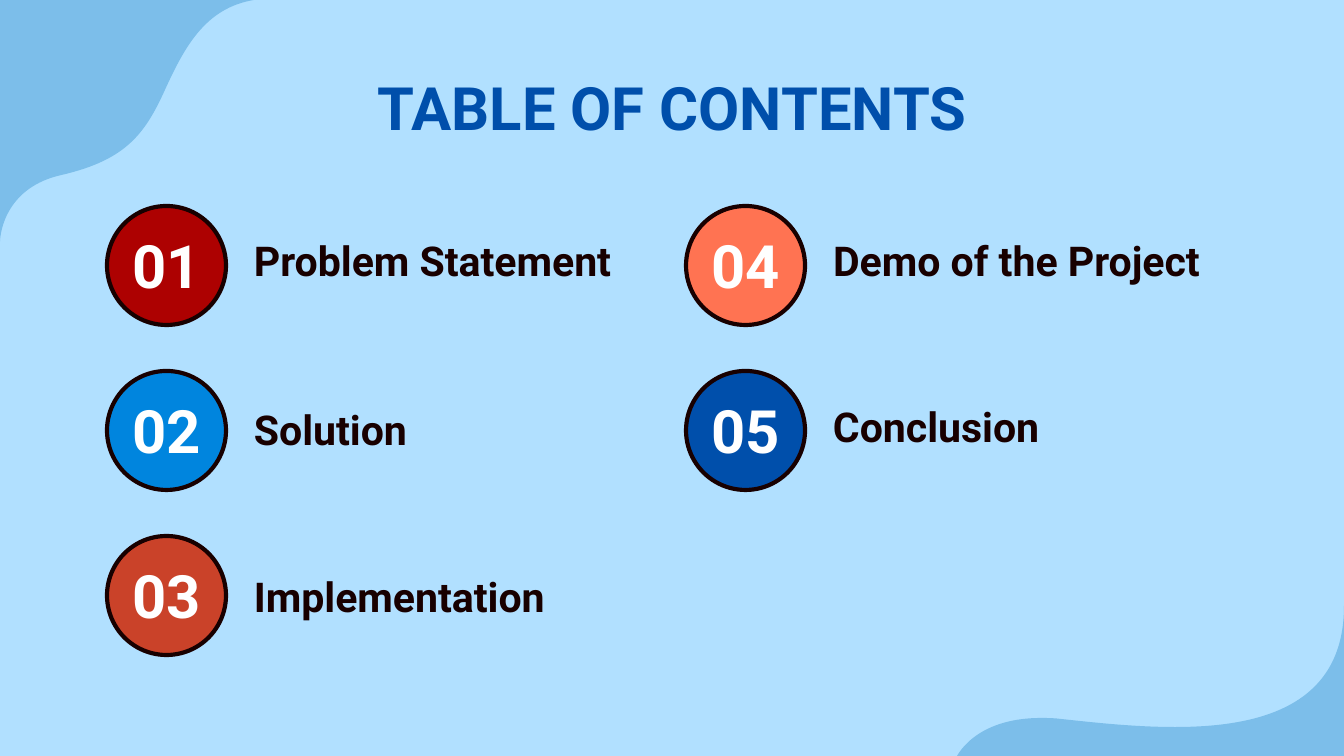
from lxml import etree
from pptx import Presentation
from pptx.dml.color import RGBColor
from pptx.enum import shapes, text
from pptx.oxml import ns
from pptx import util as u

PX = 914400 / 134.4
SKY = RGBColor(0xB1, 0xE0, 0xFF)
WAVE = RGBColor(0x7C, 0xBE, 0xEA)
NAVY = RGBColor(0x00, 0x4F, 0xAB)
BLUE = RGBColor(0x00, 0x85, 0xDE)
RED = RGBColor(0xAD, 0x01, 0x01)
RUST = RGBColor(0xCA, 0x42, 0x29)
CORAL = RGBColor(0xFF, 0x73, 0x52)
INK = RGBColor(0x18, 0x00, 0x00)
WHITE = RGBColor(0xFF, 0xFF, 0xFF)

FONT = "Roboto"
INSET = 14
BADGE = 119
ROWS = 3
COLUMN_STEP, ROW_STEP = 579, 165

TOP_LEFT_WAVE = [
    ((0, 231), (7, 187), (62, 175)),
    ((126, 160), (145, 134), (165, 90)),
    ((185, 46), (206, 8), (254, 0)),
]
BOTTOM_RIGHT_WAVE = [
    ((388, 101), (302, 121), (219, 121)),
    ((176, 121), (134, 116), (105, 113)),
    ((98, 112), (91, 112), (85, 112)),
    ((17, 112), (0, 152), (0, 152)),
]
TOPICS = [
    ("Problem Statement", RED, (11, 418, 87)),
    ("Solution", BLUE, (7, 418, 103)),
    ("Implementation", RUST, (1, 418, 118)),
    ("Demo of the Project", CORAL, (11, 484, 87)),
    ("Conclusion", NAVY, (12, 418, 87)),
]


def px(length):
    return u.Emu(round(length * PX))


def add_wave(slide, left, top, corner, start, curves):
    builder = slide.shapes.build_freeform(*corner, scale=PX)
    builder.add_line_segments([start, curves[-1][-1]], close=True)
    wave = builder.convert_to_shape(px(left), px(top))
    outline = wave.element.find(".//" + ns.qn("a:path"))
    chord = outline.findall(ns.qn("a:lnTo"))[-1]
    for curve in curves:
        bezier = etree.Element(ns.qn("a:cubicBezTo"))
        for x, y in curve:
            etree.SubElement(bezier, ns.qn("a:pt"), x=str(x), y=str(y))
        chord.addprevious(bezier)
    outline.remove(chord)
    wave.shadow.inherit = False
    wave.fill.solid()
    wave.fill.fore_color.rgb = WAVE
    wave.line.fill.background()


def write(box, words, size, color, align, anchor, top_inset=INSET):
    frame = box.text_frame
    frame.word_wrap = True
    frame.auto_size = text.MSO_AUTO_SIZE.NONE
    frame.vertical_anchor = anchor
    frame.margin_left = frame.margin_right = frame.margin_bottom = px(INSET)
    frame.margin_top = px(top_inset)
    paragraph = frame.paragraphs[0]
    paragraph.alignment = align
    run = paragraph.add_run()
    run.text = words
    run.font.name = FONT
    run.font.size = u.Pt(size)
    run.font.bold = True
    run.font.color.rgb = color


def add_heading(slide, left, top, width, height):
    heading = slide.shapes.title
    heading.left, heading.top = px(left), px(top)
    heading.width, heading.height = px(width), px(height)
    write(heading, "TABLE OF CONTENTS", 32, NAVY,
          text.PP_ALIGN.CENTER, text.MSO_ANCHOR.TOP)


def add_topic(slide, left, top, number, topic, color, label_box):
    badge = slide.shapes.add_shape(
        shapes.MSO_SHAPE.OVAL, px(left), px(top), px(BADGE), px(BADGE))
    badge.shadow.inherit = False
    badge.fill.solid()
    badge.fill.fore_color.rgb = color
    badge.line.color.rgb = INK
    badge.line.width = u.Pt(2.25)

    numeral = slide.shapes.add_textbox(
        px(left + 3), px(top + 21), px(113), px(78))
    write(numeral, f"{number:02d}", 32, WHITE,
          text.PP_ALIGN.CENTER, text.MSO_ANCHOR.MIDDLE, top_inset=11)

    label_top, label_width, label_height = label_box
    label = slide.shapes.add_textbox(
        px(left + 133), px(top + label_top), px(label_width), px(label_height))
    write(label, topic, 22, INK, text.PP_ALIGN.LEFT, text.MSO_ANCHOR.MIDDLE)


def add_topics(slide, left, top):
    for index, (topic, color, label_box) in enumerate(TOPICS):
        column, row = divmod(index, ROWS)
        add_topic(slide, left + column * COLUMN_STEP, top + row * ROW_STEP,
                  index + 1, topic, color, label_box)


def main():
    deck = Presentation()
    deck.slide_width, deck.slide_height = px(1344), px(756)
    slide = deck.slides.add_slide(deck.slide_layouts[5])
    slide.background.fill.solid()
    slide.background.fill.fore_color.rgb = SKY
    add_wave(slide, 0, 0, (0, 0), (0, 243), TOP_LEFT_WAVE)
    add_wave(slide, 956, 606, (388, 152), (388, 0), BOTTOM_RIGHT_WAVE)
    add_heading(slide, 106, 57, 1133, 87)
    add_topics(slide, 107, 206)
    deck.save("out.pptx")


if __name__ == "__main__":
    main()
